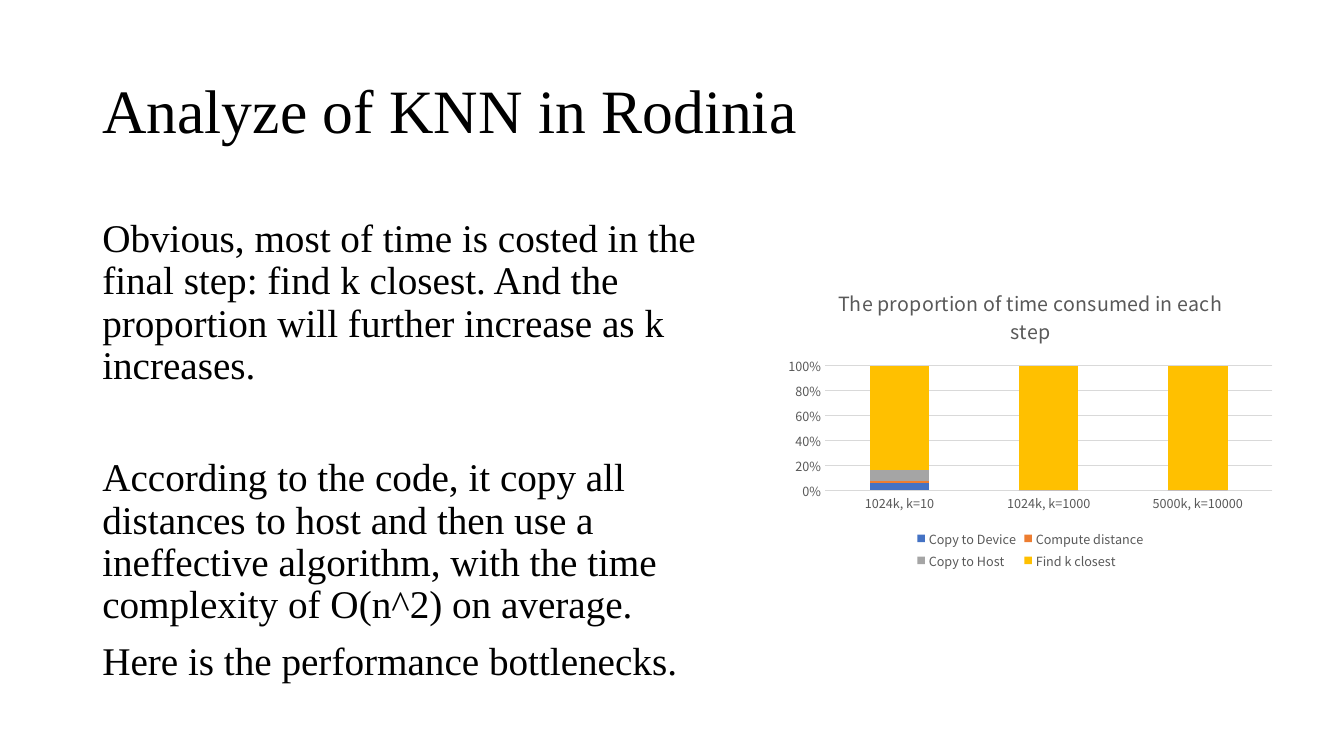
"""Build a slide on the time spent in each step of KNN in Rodinia."""
from dataclasses import dataclass

import pptx
import pptx.chart.data
import pptx.dml.color
import pptx.enum.chart
import pptx.enum.text
import pptx.util

Pt = pptx.util.Pt
COLORS = {
    "text": "000000",
    "label": "595959",
    "grid": "D9D9D9",
    "device": "4472C4",
    "distance": "ED7D31",
    "host": "A5A5A5",
    "closest": "FFC000",
}
TEXT_FONT = "Times New Roman"
CHART_FONT = "Noto Sans CJK SC"


@dataclass
class Line:
    text: str
    space_before: float = 10


@dataclass
class TextBlock:
    left: float
    top: float
    width: float
    height: float
    size: float
    anchor: pptx.enum.text.MSO_ANCHOR
    lines: list[Line]


@dataclass
class Step:
    name: str
    values: tuple[float, ...]
    color: str


BLOCKS = [
    TextBlock(66, 28.75, 828, 104.38, 44, pptx.enum.text.MSO_ANCHOR.MIDDLE,
              [Line("Analyze of KNN in Rodinia", 0)]),
    TextBlock(66, 152.5, 453, 342.63, 28, pptx.enum.text.MSO_ANCHOR.TOP, [
        Line("Obvious, most of time is costed in the final step: find k closest. "
             "And the proportion will further increase as k increases."),
        Line("According to the code, it copy all distances to host and then use a "
             "ineffective algorithm, with the time complexity of O(n^2) on average.", 50),
        Line("Here is the performance bottlenecks."),
    ]),
]
CASES = ["1024k, k=10", "1024k, k=1000", "5000k, k=10000"]
STEPS = [
    Step("Copy to Device", (6, 0, 0), "device"),
    Step("Compute distance", (1, 0, 0), "distance"),
    Step("Copy to Host", (9, 0, 0), "host"),
    Step("Find k closest", (83, 100, 100), "closest"),
]


def rgb(name: str) -> pptx.dml.color.RGBColor:
    return pptx.dml.color.RGBColor.from_string(COLORS[name])


def style_font(font: pptx.text.text.Font, name: str, size: float, color: str) -> None:
    font.name = name
    font.size = Pt(size)
    font.bold = False
    font.color.rgb = rgb(color)


def add_text(page: pptx.slide.Slide, block: TextBlock) -> None:
    box = page.shapes.add_textbox(Pt(block.left), Pt(block.top), Pt(block.width), Pt(block.height))
    frame = box.text_frame
    frame.word_wrap = True
    frame.vertical_anchor = block.anchor
    frame.text = "\n".join(line.text for line in block.lines)
    for para, line in zip(frame.paragraphs, block.lines):
        para.line_spacing = 0.9
        para.space_before = Pt(line.space_before)
        for span in para.runs:
            style_font(span.font, TEXT_FONT, block.size, "text")


def add_time_chart(page: pptx.slide.Slide) -> None:
    data = pptx.chart.data.CategoryChartData()
    data.categories = CASES
    for step in STEPS:
        data.add_series(step.name, step.values)
    chart = page.shapes.add_chart(
        pptx.enum.chart.XL_CHART_TYPE.COLUMN_STACKED_100,
        Pt(556), Pt(193.5), Pt(360), Pt(216), data).chart
    style_font(chart.font, CHART_FONT, 10, "text")

    chart.has_title = True
    title = chart.chart_title.text_frame
    title.text = "The proportion of time consumed in each step"
    style_font(title.paragraphs[0].runs[0].font, CHART_FONT, 14, "label")
    chart.chart_title.include_in_layout = False

    chart.has_legend = True
    chart.legend.position = pptx.enum.chart.XL_LEGEND_POSITION.BOTTOM
    chart.legend.include_in_layout = False
    style_font(chart.legend.font, CHART_FONT, 9, "label")

    for axis in (chart.category_axis, chart.value_axis):
        axis.major_tick_mark = pptx.enum.chart.XL_TICK_MARK.NONE
        axis.minor_tick_mark = pptx.enum.chart.XL_TICK_MARK.NONE
        style_font(axis.tick_labels.font, CHART_FONT, 9, "label")
    chart.value_axis.format.line.fill.background()
    chart.value_axis.has_major_gridlines = True
    chart.value_axis.tick_labels.number_format = "0%"
    chart.value_axis.tick_labels.number_format_is_linked = False
    for line in (chart.category_axis.format.line, chart.value_axis.major_gridlines.format.line):
        line.color.rgb = rgb("grid")
        line.width = Pt(0.75)

    plot = chart.plots[0]
    plot.gap_width = 150
    plot.overlap = 100
    plot.vary_by_categories = False
    for series, step in zip(plot.series, STEPS):
        series.format.fill.solid()
        series.format.fill.fore_color.rgb = rgb(step.color)


def main() -> None:
    deck = pptx.Presentation()
    deck.slide_width = Pt(960)
    deck.slide_height = Pt(540)
    page = deck.slides.add_slide(deck.slide_layouts[6])
    for block in BLOCKS:
        add_text(page, block)
    add_time_chart(page)
    deck.save("out.pptx")


if __name__ == "__main__":
    main()
